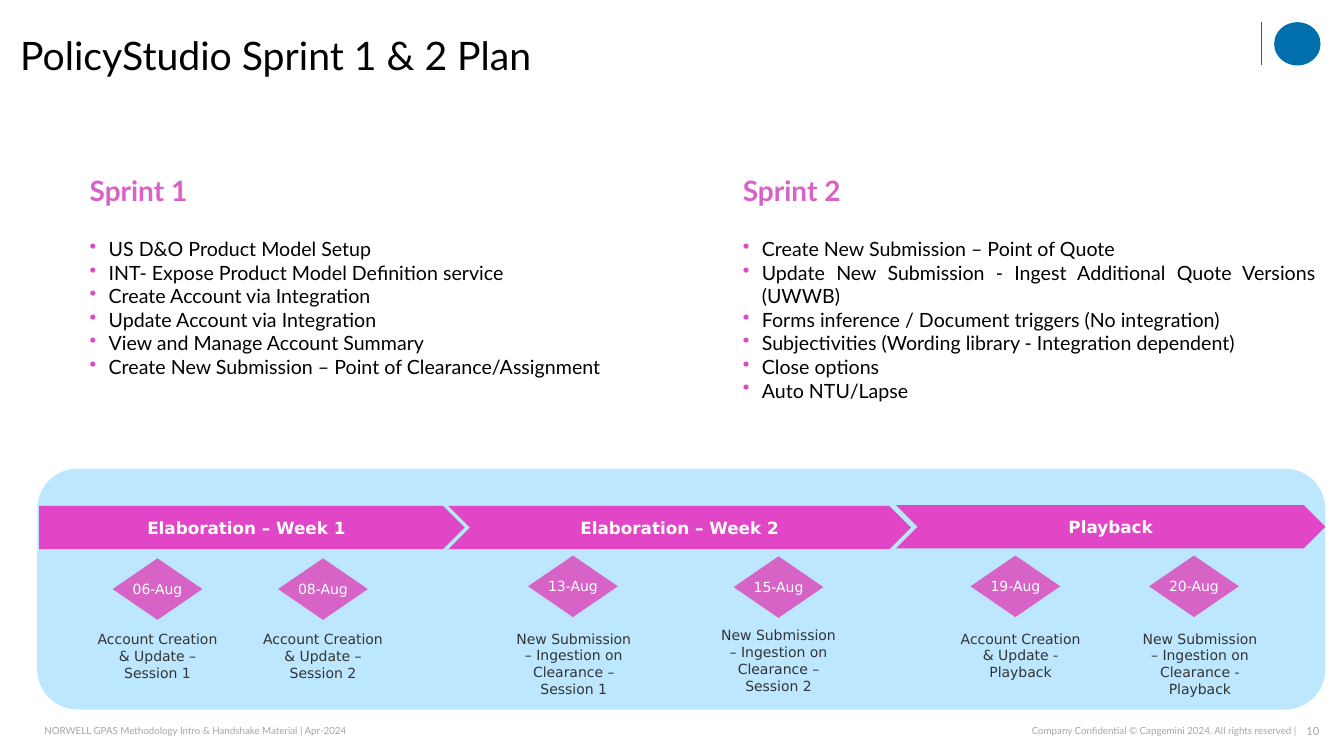
"""Builds the sprint plan slide with its two scopes and timeline."""
import pptx
import pptx.util
import pptx.dml.color
import pptx.enum.shapes
import pptx.enum.text
import pptx.oxml.ns
import lxml.etree

Cm = pptx.util.Cm
Shape = pptx.enum.shapes.MSO_SHAPE
Align = pptx.enum.text.PP_ALIGN
Anchor = pptx.enum.text.MSO_ANCHOR

COLORS = {
    "black": "000000", "white": "FFFFFF", "dark": "333333", "gray": "A6A6A6",
    "pink": "E146C6", "rose": "D763C6", "sky": "BCE7FF", "blue": "0070AD",
}

SPRINTS = [
    ("Sprint 1", (2.01, 4.24, 16.46, 8.13), [
        "US D&O Product Model Setup",
        "INT- Expose Product Model Definition service",
        "Create Account via Integration",
        "Update Account via Integration",
        "View and Manage Account Summary",
        "Create New Submission – Point of Clearance/Assignment",
    ]),
    ("Sprint 2", (18.47, 4.24, 14.94, 6.07), [
        "Create New Submission – Point of Quote",
        "Update New Submission - Ingest Additional Quote Versions (UWWB)",
        "Forms inference / Document triggers (No integration)",
        "Subjectivities (Wording library - Integration dependent)",
        "Close options",
        "Auto NTU/Lapse",
    ]),
]

PHASES = [
    ("Elaboration – Week 1", Shape.PENTAGON, 0.99, 12.75, 10.72),
    ("Elaboration – Week 2", Shape.CHEVRON, 11.3, 12.75, 11.66),
    ("Playback", Shape.CHEVRON, 22.58, 12.73, 10.82),
]

EVENTS = [
    ("06-Aug", 2.84, 14.07, "Account Creation & Update – Session 1", 2.18, 15.77),
    ("08-Aug", 7.01, 14.07, "Account Creation & Update – Session 2", 6.35, 15.77),
    ("13-Aug", 13.31, 14, "New Submission – Ingestion on Clearance – Session 1", 12.67, 15.75),
    ("15-Aug", 18.49, 14.02, "New Submission – Ingestion on Clearance – Session 2", 17.83, 15.67),
    ("19-Aug", 24.46, 14, "Account Creation & Update - Playback", 23.93, 15.75),
    ("20-Aug", 28.96, 14, "New Submission – Ingestion on Clearance - Playback", 28.45, 15.75),
]


class Deck:
    """Holds the style and the current slide."""

    head = "Lato"
    body = "DejaVu Sans"

    def __init__(self):
        self.show = pptx.Presentation()
        self.show.slide_width = Cm(33.87)
        self.show.slide_height = Cm(19.05)
        self.slide = self.show.slides.add_slide(self.show.slide_layouts[6])

    def color(self, name):
        return pptx.dml.color.RGBColor.from_string(COLORS[name])

    def style(self, para, font, size, color, bold=False, align=Align.LEFT):
        para.alignment = align
        for run in para.runs:
            run.font.name = font
            run.font.size = pptx.util.Pt(size)
            run.font.bold = bold
            run.font.color.rgb = self.color(color)

    def bullet(self, para, color):
        props = para._p.get_or_add_pPr()
        props.set("marL", str(Cm(0.48)))
        props.set("indent", str(-Cm(0.48)))
        tag = pptx.oxml.ns.qn
        tint = lxml.etree.SubElement(props, tag("a:buClr"))
        lxml.etree.SubElement(tint, tag("a:srgbClr"), val=COLORS[color])
        lxml.etree.SubElement(props, tag("a:buChar"), char="•")

    def text(self, text, place, font, size, color, align=Align.LEFT,
             anchor=Anchor.TOP, inset=(0.25, 0.13)):
        frame = self.slide.shapes.add_textbox(*map(Cm, place)).text_frame
        frame.word_wrap = True
        frame.vertical_anchor = anchor
        frame.margin_left = frame.margin_right = Cm(inset[0])
        frame.margin_top = frame.margin_bottom = Cm(inset[1])
        frame.text = text
        self.style(frame.paragraphs[0], font, size, color, align=align)
        return frame

    def list(self, title, place, items):
        frame = self.text(title, place, self.head, 20, "rose")
        first = frame.paragraphs[0]
        first.runs[0].font.bold = True
        first.space_after = pptx.util.Pt(21.6)
        for item in items:
            para = frame.add_paragraph()
            para.text = item
            self.bullet(para, "pink")
            self.style(para, self.head, 14, "black", align=Align.JUSTIFY)

    def shape(self, kind, place, fill, text="", size=10, bold=False):
        shape = self.slide.shapes.add_shape(kind, *map(Cm, place))
        shape.shadow.inherit = False
        shape.fill.solid()
        shape.fill.fore_color.rgb = self.color(fill)
        shape.line.fill.background()
        if text:
            frame = shape.text_frame
            frame.word_wrap = False
            frame.vertical_anchor = Anchor.MIDDLE
            frame.text = text
            self.style(frame.paragraphs[0], self.body, size, "white", bold, Align.CENTER)

    def line(self, ends, color, width):
        line = self.slide.shapes.add_connector(
            pptx.enum.shapes.MSO_CONNECTOR.STRAIGHT, *map(Cm, ends))
        line.line.color.rgb = self.color(color)
        line.line.width = pptx.util.Pt(width)
        lxml.etree.SubElement(line._element.spPr, pptx.oxml.ns.qn("a:effectLst"))


def main():
    deck = Deck()
    deck.shape(Shape.OVAL, (32.11, 0.56, 1.17, 1.09), "blue")
    deck.line((31.78, 0.56, 31.78, 1.65), "blue", 0.5)
    title = deck.text("PolicyStudio Sprint 1 & 2 Plan", (0.51, 0.79, 28.02, 1.35),
                      deck.head, 28, "black", anchor=Anchor.MIDDLE, inset=(0, 0))
    title.paragraphs[0].line_spacing = 0.9

    deck.text("NORWELL GPAS Methodology Intro & Handshake Material | Apr-2024",
              (1.12, 18.11, 9.47, 0.61), deck.head, 7, "gray",
              anchor=Anchor.MIDDLE, inset=(0, 0))
    deck.text("Company Confidential © Capgemini 2024. All rights reserved |",
              (20.07, 18.11, 12.6, 0.61), deck.head, 7, "gray", Align.RIGHT,
              Anchor.MIDDLE, (0, 0))
    deck.text("10", (32.61, 18.11, 0.64, 0.61), deck.head, 8, "gray",
              Align.RIGHT, inset=(0, 0.13))

    for name, place, items in SPRINTS:
        deck.list(name, place, items)

    deck.shape(Shape.ROUNDED_RECTANGLE, (0.94, 11.81, 32.46, 6.07), "sky")
    for name, kind, left, top, width in PHASES:
        deck.shape(kind, (left, top, width, 1.09), "pink", name, 12, True)
    for date, left, top, label, start, under in EVENTS:
        deck.shape(Shape.DIAMOND, (left, top, 2.26, 1.55), "rose", date)
        deck.text(label, (start, under, 3.58, 1.96), deck.body, 10, "dark", Align.CENTER)
    deck.show.save("out.pptx")


if __name__ == "__main__":
    main()
